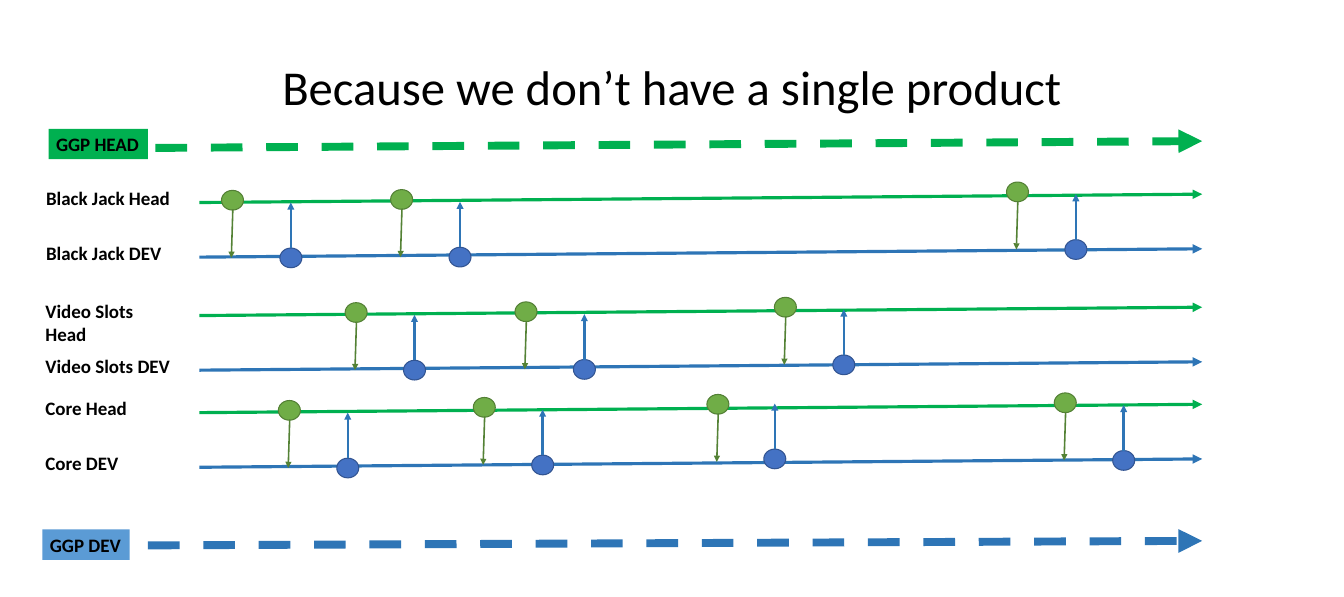
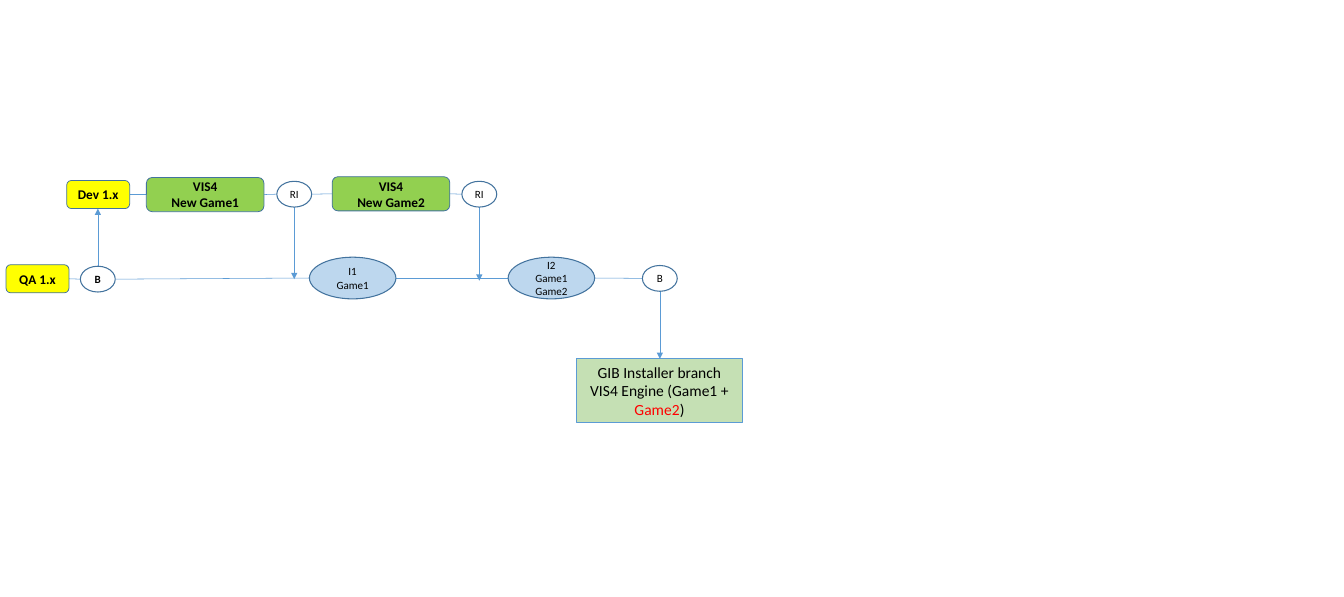
from lxml import etree
from pptx import Presentation
from pptx.dml import color
from pptx.enum import dml, shapes, text
from pptx.oxml import ns
from pptx.util import Inches, Pt

FONT = "Calibri"
BLACK, RED, YELLOW = "000000", "FF0000", "FFFF00"
HEAD_GREEN, DEV_BLUE = "00B050", "2E75B6"
LINK_BLUE, NODE_EDGE = "5B9BD5", "43739E"
PRESETS = {
    "ellipse": shapes.MSO_SHAPE.OVAL,
    "rect": shapes.MSO_SHAPE.RECTANGLE,
    "round": shapes.MSO_SHAPE.ROUNDED_RECTANGLE,
}

# Slide 1 content
TITLE = "Because we don’t have a single product"
# product, label left, head line start height, merges (left, top of head dot)
PRODUCTS = [
    ("Black Jack", 0.51, 2.67, [(2.92, 2.51), (5.15, 2.5), (13.27, 2.4)]),
    ("Video Slots", 0.5, 4.16, [(4.55, 3.99), (6.79, 3.98), (10.21, 3.92)]),
    ("Core", 0.5, 5.44,
     [(3.67, 5.28), (6.24, 5.24), (9.32, 5.2), (13.9, 5.18)]),
]
DEV_SHIFTS = {(9.32, 5.2): (0.75, 0.72)}
DEV_SHIFT = (0.77, 0.76)
BRANCH_GAP, BRANCH_RISE = 0.72, 0.11
LINE_LEFT, LINE_RIGHT = 2.63, 15.85
DOT_SIZE = (0.29, 0.26)
# label, label box, label fill, arrow colour, arrow start, arrow end
TRUNKS = [
    ("GGP HEAD", (0.64, 1.7, 1.31, 0.4), HEAD_GREEN, HEAD_GREEN,
     (2.05, 1.95), (LINE_RIGHT, 1.86)),
    ("GGP DEV", (0.56, 6.98, 1.15, 0.4), LINK_BLUE, DEV_BLUE,
     (1.95, 7.19), (LINE_RIGHT, 7.13)),
]

# Slide 2 content: style is preset, fill, edge, edge width, text size, bold
STYLES = {
    "branch": ("round", YELLOW, NODE_EDGE, 0.75, 12.6, True),
    "game": ("round", "92D050", NODE_EDGE, 0.75, 12.6, True),
    "step": ("ellipse", None, NODE_EDGE, 1, 10.5, False),
    "start": ("ellipse", None, NODE_EDGE, 1, 10.5, True),
    "build": ("ellipse", "BDD7EE", NODE_EDGE, 1, 10.5, False),
    "installer": ("rect", "C5E0B4", LINK_BLUE, 0.75, 14.7, False),
}
NODES = {
    "qa": ("branch", (0.08, 3.49, 0.83, 0.37), ["QA 1.x"]),
    "branch off": ("start", (1.06, 3.51, 0.46, 0.34), ["B"]),
    "build 1": ("build", (4.08, 3.39, 1.14, 0.55), ["I1", "Game1"]),
    "build 2": ("build", (6.7, 3.39, 1.14, 0.55), ["I2", "Game1", "Game2"]),
    "release": ("step", (8.47, 3.5, 0.46, 0.34), ["B"]),
    "dev": ("branch", (0.88, 2.38, 0.83, 0.37), ["Dev 1.x"]),
    "game 1": ("game", (1.93, 2.34, 1.55, 0.45), ["VIS4", "New Game1"]),
    "merge 1": ("step", (3.65, 2.39, 0.46, 0.34), ["RI"]),
    "game 2": ("game", (4.38, 2.33, 1.55, 0.45), ["VIS4", "New Game2"]),
    "merge 2": ("step", (6.09, 2.39, 0.46, 0.34), ["RI"]),
    "installer": ("installer", (7.6, 4.73, 2.19, 0.84), [
        "GIB Installer branch",
        [("VIS4 Engine (Game1 + ", BLACK), ("Game2", RED), (")", BLACK)],
    ]),
}
CHAINS = [
    ["qa", "branch off", "build 1", "build 2", "release"],
    ["dev", "game 1", "merge 1", "game 2", "merge 2"],
]
# node the arrow leaves, end height
ARROWS = [("branch off", 2.75), ("merge 1", 3.68), ("merge 2", 3.7),
          ("release", 4.73)]


def rgb(value):
    return color.RGBColor.from_string(value)


def style_font(font, size, bold=False, colour=BLACK):
    font.name, font.size, font.bold = FONT, Pt(size), bold
    font.color.rgb = rgb(colour)


def write(frame, lines, size, bold, align, wrap):
    """Each line is a string or a list of (text, colour) runs."""
    frame.word_wrap = wrap
    for index, line in enumerate(lines):
        paragraph = frame.add_paragraph() if index else frame.paragraphs[0]
        paragraph.alignment = align
        for part, colour in [(line, BLACK)] if isinstance(line, str) else line:
            run = paragraph.add_run()
            run.text = part
            style_font(run.font, size, bold, colour)


def add_label(shape, label):
    write(shape.text_frame, [label], 18, True, text.PP_ALIGN.LEFT, False)


def add_box(slide, preset, box, fill, edge=None, width=1):
    shape = slide.shapes.add_shape(PRESETS[preset], *map(Inches, box))
    shape.shadow.inherit = False
    if fill:
        shape.fill.solid()
        shape.fill.fore_color.rgb = rgb(fill)
    else:
        shape.fill.background()
    if edge:
        shape.line.color.rgb = rgb(edge)
        shape.line.width = Pt(width)
    else:
        shape.line.fill.background()
    return shape


def add_line(slide, start, end, colour, width, arrow=True, dashed=False):
    connector = slide.shapes.add_connector(
        shapes.MSO_CONNECTOR.STRAIGHT, *map(Inches, (*start, *end)))
    connector.line.color.rgb = rgb(colour)
    connector.line.width = Pt(width)
    if dashed:
        connector.line.dash_style = dml.MSO_LINE.DASH
    properties = connector.element.spPr
    if arrow:
        outline = properties.find(ns.qn("a:ln"))
        etree.SubElement(outline, ns.qn("a:tailEnd"), type="triangle")
    etree.SubElement(properties, ns.qn("a:effectLst"))


def add_merge(slide, left, top):
    """A head dot with its arrow down, and a dev dot with its arrow up."""
    shift_x, shift_y = DEV_SHIFTS.get((left, top), DEV_SHIFT)
    dev_left, dev_top = left + shift_x, top + shift_y
    dev_middle = dev_left + DOT_SIZE[0] / 2
    add_box(slide, "ellipse", (left, top, *DOT_SIZE), "70AD47", "538035")
    add_box(slide, "ellipse", (dev_left, dev_top, *DOT_SIZE),
            "4472C4", "325491")
    add_line(slide, (left + 0.15, top + 0.25), (left + 0.13, top + 0.89),
             "548235", 1.5)
    add_line(slide, (dev_middle, dev_top), (dev_middle, dev_top - 0.6),
             DEV_BLUE, 2.25)


def build_products(presentation):
    slide = presentation.slides.add_slide(presentation.slide_layouts[5])

    # Title
    title = slide.shapes.title
    title.left, title.top, title.width, title.height = map(
        Inches, (1.22, 0.42, 15.28, 1.52))
    frame = title.text_frame
    frame.text = TITLE
    frame.auto_size = text.MSO_AUTO_SIZE.NONE
    frame.vertical_anchor = text.MSO_ANCHOR.MIDDLE
    frame.paragraphs[0].alignment = text.PP_ALIGN.CENTER
    frame.paragraphs[0].line_spacing = 0.9
    style_font(frame.paragraphs[0].runs[0].font, 46.2)

    # Product branches
    for product, label_left, head_y, merges in PRODUCTS:
        branches = [("Head", head_y, HEAD_GREEN),
                    ("DEV", head_y + BRANCH_GAP, DEV_BLUE)]
        for branch, y, colour in branches:
            add_line(slide, (LINE_LEFT, y), (LINE_RIGHT, y - BRANCH_RISE),
                     colour, 3)
            label = slide.shapes.add_textbox(
                *map(Inches, (label_left, y - 0.26, 1.9, 0.4)))
            add_label(label, f"{product} {branch}")
        for left, top in merges:
            add_merge(slide, left, top)

    # Trunks
    for label, box, fill, colour, start, end in TRUNKS:
        add_line(slide, start, end, colour, 7.5, dashed=True)
        add_label(add_box(slide, "rect", box, fill), label)


def build_flow(presentation):
    slide = presentation.slides.add_slide(presentation.slide_layouts[6])

    # Links between neighbours
    for chain in CHAINS:
        for before, after in zip(chain, chain[1:]):
            left, top, width, height = NODES[before][1]
            next_left, next_top, _, next_height = NODES[after][1]
            add_line(slide, (left + width, top + height / 2),
                     (next_left, next_top + next_height / 2),
                     LINK_BLUE, 0.5, arrow=False)

    # Vertical arrows
    for name, end_y in ARROWS:
        left, top, width, height = NODES[name][1]
        middle = left + width / 2
        start_y = top if end_y < top else top + height
        add_line(slide, (middle, start_y), (middle, end_y), LINK_BLUE, 0.5)

    # Nodes
    for style, box, lines in NODES.values():
        preset, fill, edge, edge_width, size, bold = STYLES[style]
        shape = add_box(slide, preset, box, fill, edge, edge_width)
        shape.text_frame.vertical_anchor = text.MSO_ANCHOR.MIDDLE
        write(shape.text_frame, lines, size, bold, text.PP_ALIGN.CENTER, True)


def main():
    presentation = Presentation()
    presentation.slide_width = Inches(17.72)
    presentation.slide_height = Inches(7.87)
    build_products(presentation)
    build_flow(presentation)
    presentation.save("out.pptx")


if __name__ == "__main__":
    main()
